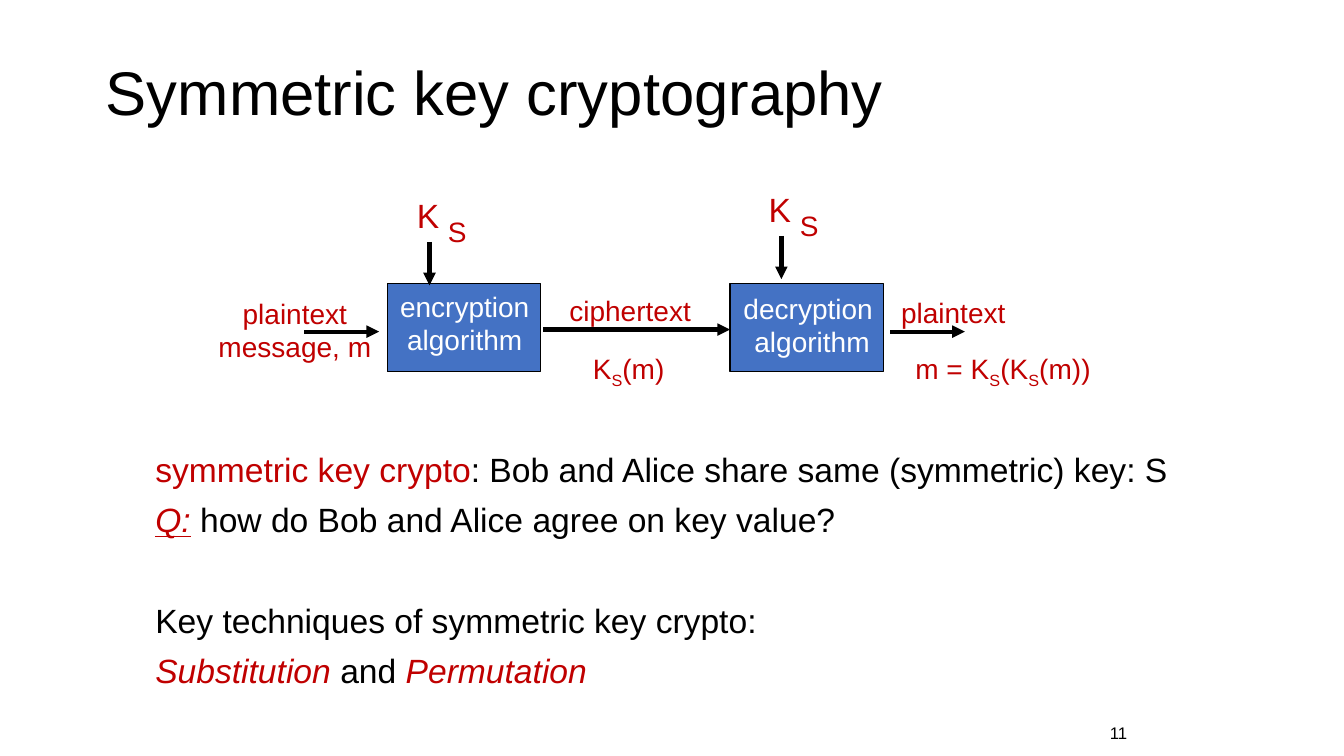
"""Build a slide that explains symmetric key cryptography."""
import pptx
import pptx.dml.color
import pptx.enum.shapes
import pptx.enum.text
import pptx.oxml.ns
import pptx.util
from lxml import etree

Inches = pptx.util.Inches
Pt = pptx.util.Pt
ALIGN = pptx.enum.text.PP_ALIGN
BLACK = pptx.dml.color.RGBColor(0x00, 0x00, 0x00)
WHITE = pptx.dml.color.RGBColor(0xFF, 0xFF, 0xFF)
RED = pptx.dml.color.RGBColor(0xC0, 0x00, 0x00)
BLUE = pptx.dml.color.RGBColor(0x44, 0x72, 0xC4)
qn = pptx.oxml.ns.qn


def set_font(font, size, color):
    font.name = "Arial"
    font.size = Pt(size)
    font.color.rgb = color


def add_label(left, top, width, height, text, size=20, color=RED, align=ALIGN.CENTER, fill=None):
    """Add a text box; parts between underscores become subscripts."""
    box = page.shapes.add_textbox(Inches(left), Inches(top), Inches(width), Inches(height))
    box.text_frame.word_wrap = False
    if fill is not None:
        box.fill.solid()
        box.fill.fore_color.rgb = fill
    for number, line in enumerate(text.split("\n")):
        para = box.text_frame.add_paragraph() if number else box.text_frame.paragraphs[0]
        para.alignment = align
        set_font(para.font, size, color)
        for position, part in enumerate(line.split("_")):
            span = para.add_run()
            span.text = part
            if position % 2:
                span._r.get_or_add_rPr().set("baseline", "-25000")


deck = pptx.Presentation()
deck.slide_width = Inches(13.33)
deck.slide_height = Inches(7.5)
page = deck.slides.add_slide(deck.slide_layouts[1])

title = page.shapes.title
title.left, title.top, title.width, title.height = map(Inches, (0.95, 0.32, 8.5, 1.25))
title.text_frame.text = "Symmetric key cryptography"
title.text_frame.auto_size = pptx.enum.text.MSO_AUTO_SIZE.NONE
title.text_frame.vertical_anchor = pptx.enum.text.MSO_ANCHOR.MIDDLE
heading = title.text_frame.paragraphs[0]
heading.alignment = ALIGN.LEFT
heading.line_spacing = 0.9
set_font(heading.font, 44, BLACK)

body = page.placeholders[1]
body.left, body.top, body.width, body.height = map(Inches, (1.44, 4.45, 10.72, 2.68))
body.text_frame.auto_size = pptx.enum.text.MSO_AUTO_SIZE.NONE
statements = [
    (0, [("symmetric key crypto", RED, False),
         (": Bob and Alice share same (symmetric) key: S", BLACK, False)]),
    (10, [("Q:", RED, True), (" how do Bob and Alice agree on key value?", BLACK, False)]),
    (46, [("Key techniques of symmetric key crypto:", BLACK, False)]),
    (10, [("Substitution ", RED, True), ("and ", BLACK, False), ("Permutation", RED, True)]),
]
for number, (space, spans) in enumerate(statements):
    para = body.text_frame.add_paragraph() if number else body.text_frame.paragraphs[0]
    para.line_spacing = 0.9
    para.space_before = Pt(space)
    properties = para._p.get_or_add_pPr()
    properties.set("marL", str(Inches(0.25)))
    properties.set("indent", str(Inches(-0.25)))
    etree.SubElement(properties, qn("a:buNone"))
    set_font(para.font, 24, BLACK)
    for text, color, italic in spans:
        span = para.add_run()
        span.text = text
        set_font(span.font, 24, color)
        span.font.italic = italic
        span.font.underline = text == "Q:"

add_label(8.83, 2.88, 1.25, 0.44, "plaintext", fill=WHITE)
add_label(5.54, 2.86, 1.42, 0.44, "ciphertext", fill=WHITE)

for left, top in [(4.03, 1.88), (7.52, 1.82)]:
    add_label(left, top, 0.43, 0.51, "K", size=24, fill=WHITE)
    add_label(left + 0.31, top + 0.2, 0.39, 0.43, "S")

for left in (3.84, 7.24):
    block = page.shapes.add_shape(pptx.enum.shapes.MSO_SHAPE.RECTANGLE, Inches(left),
                                  Inches(2.81), Inches(1.52), Inches(0.88))
    block.shadow.inherit = False
    block.fill.solid()
    block.fill.fore_color.rgb = BLUE
    block.line.color.rgb = BLACK
    block.line.width = Pt(0.75)
add_label(3.86, 2.82, 1.5, 0.77, "encryption\nalgorithm", color=WHITE)
add_label(7.27, 2.84, 1.57, 0.77, "decryption \nalgorithm", color=WHITE)

arrows = [
    (5.39, 3.27, 7.24, 3.27),
    (4.26, 2.4, 4.26, 2.83),
    (7.75, 2.34, 7.75, 2.77),
    (3.02, 3.29, 3.76, 3.29),
    (8.83, 3.29, 9.57, 3.29),
]
for ends in arrows:
    arrow = page.shapes.add_connector(pptx.enum.shapes.MSO_CONNECTOR.STRAIGHT, *map(Inches, ends))
    arrow.line.color.rgb = BLACK
    arrow.line.width = Pt(3)
    etree.SubElement(arrow.line._get_or_add_ln(), qn("a:tailEnd"), type="triangle")
    etree.SubElement(arrow._element.spPr, qn("a:effectLst"))

add_label(2.06, 2.89, 1.73, 0.77, "plaintext\nmessage, m")
add_label(5.77, 3.44, 0.93, 0.44, "K_S_(m)")
add_label(8.98, 3.44, 1.98, 0.44, "m = K_S_(K_S_(m))", align=ALIGN.LEFT)
add_label(10.91, 7.12, 0.75, 0.3, "11", size=12, color=BLACK, align=ALIGN.LEFT)

deck.save("out.pptx")
